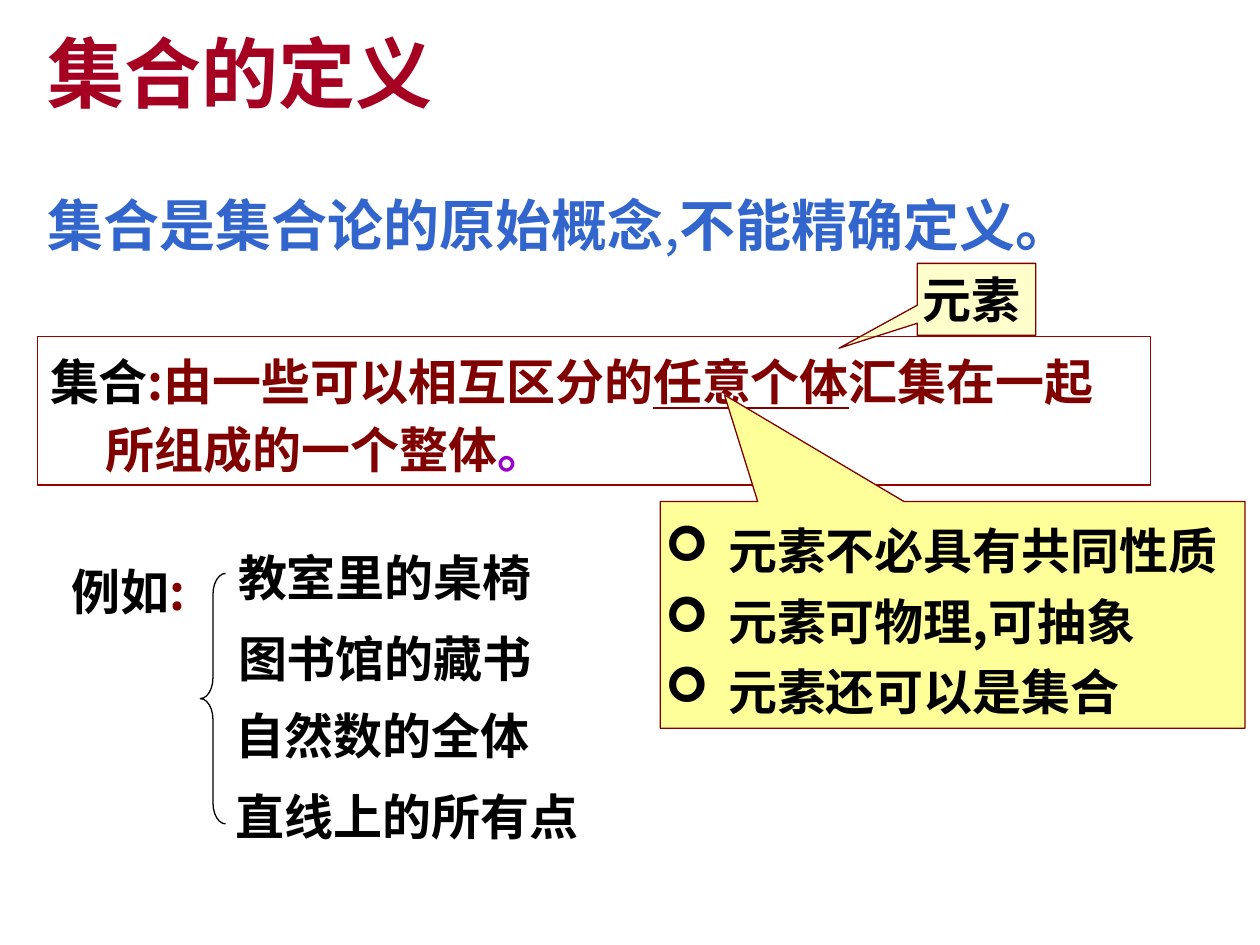
from pptx import Presentation
from pptx.dml.color import RGBColor as Rgb
from pptx.enum.shapes import MSO_SHAPE as Kind
from pptx.enum.text import MSO_ANCHOR as Anchor
from pptx.oxml.ns import qn
from pptx.util import Cm, Pt
from lxml.etree import SubElement as Sub

SANS = "Noto Sans CJK SC"
RED, BLACK, MAROON, BLUE = "A50021", "000000", "800000", "3366CC"

# Content: each run is (text, changes to the base format)
TITLE = [("集合的定义", dict(size=44, name="Arial", color=RED))]
INTRO = [("集合是集合论的原始概念", dict(size=32, color=BLUE)),
         (",", dict(size=32, color=BLUE, bold=False)),
         ("不能精确定义。", dict(size=32, color=BLUE))]
RULE = [
    [("集合", {}), (":由一些可以相互区分的", dict(color=MAROON)),
     ("任意个体", dict(color=MAROON, underline=True)),
     ("汇集在一起", dict(color=MAROON))],
    [("所组成的一个整体", dict(color=MAROON)), ("。", dict(color="9900CC"))],
]
NOTES = ["元素不必具有共同性质", "元素可物理,可抽象", "元素还可以是集合"]
LEAD = [("例如", {}), (":", dict(color=MAROON))]
# Example, left, top, width
CASES = [("教室里的桌椅", 4.55, 10.74, 6.53), ("图书馆的藏书", 4.55, 12.37, 6.53),
         ("自然数的全体", 4.5, 13.92, 6.53), ("直线上的所有点", 4.5, 15.54, 7.52)]

deck = Presentation()
deck.slide_width, deck.slide_height = Cm(25.4), Cm(19.05)
slide = deck.slides.add_slide(deck.slide_layouts[6])


def paint(hue):
    return Rgb.from_string(hue)


def write(box, paras, space=1.0, wrap=True, anchor=Anchor.TOP, pad=(0.25, 0.13)):
    frame = box.text_frame
    across, down = map(Cm, pad)
    form = dict(word_wrap=wrap, vertical_anchor=anchor, margin_left=across,
                margin_right=across, margin_top=down, margin_bottom=down)
    for key, value in form.items():
        setattr(frame, key, value)
    for i, runs in enumerate(paras):
        para = frame.add_paragraph() if i else frame.paragraphs[0]
        para.line_spacing = space
        para._p.get_or_add_pPr().set("algn", "l")
        for text, change in runs:
            look = dict(size=28, name=SANS, bold=True, color=BLACK) | change
            hue, look["size"] = look.pop("color"), Pt(look["size"])
            run = para.add_run()
            run.text = text
            for key, value in look.items():
                setattr(run.font, key, value)
            run.font.color.rgb = paint(hue)
            Sub(run._r.get_or_add_rPr(), qn("a:ea"), typeface=SANS)
    return frame


def label(place, runs, **form):
    write(slide.shapes.add_textbox(*map(Cm, place)), [runs], **form)


def draw(kind, place, edge, fill=None, adjust=()):
    shape = slide.shapes.add_shape(kind, *map(Cm, place))
    shape.shadow.inherit = False
    shape.line.color.rgb = paint(edge)
    shape.line.width = Pt(0.75)
    if fill:
        shape.fill.solid()
        shape.fill.fore_color.rgb = paint(fill)
    else:
        shape.fill.background()
    for i, value in enumerate(adjust):
        shape.adjustments[i] = value
    return shape


def indent(para, left, first):
    prop = para._p.get_or_add_pPr()
    prop.set("marL", str(Cm(left)))
    prop.set("indent", str(Cm(first)))
    return prop


# Title and opening line
label((0.71, 0.38, 19, 2.39), TITLE)
label((0.71, 3.71, 23.75, 1.14), INTRO)

# Definition
rule = write(draw(Kind.RECTANGLE, (0.76, 6.78, 22.43, 3), "990000"), RULE, space=1.15)
indent(rule.paragraphs[1], 0, 1.12)

# Callout with the bulleted notes
CALL = dict(anchor=Anchor.MIDDLE, pad=(0.1, 0.13))
call = draw(Kind.RECTANGULAR_CALLOUT, (13.31, 10.11, 11.79, 4.57), MAROON,
            "FFFF99", (-0.39, -0.97))
notes = write(call, [[(note, {})] for note in NOTES], space=1.2, **CALL)
for para in notes.paragraphs:
    prop = indent(para, 1.27, -1.27)
    Sub(prop, qn("a:buFont"), typeface="Wingdings")
    Sub(prop, qn("a:buChar"), char="➢")

# Examples and their brace
label((1.19, 10.72, 3.02, 1.68), LEAD, space=1.4, wrap=False)
for text, left, top, width in CASES:
    label((left, top, width, 1.63), [(text, {})], space=1.15, wrap=False)
brace = draw(Kind.RIGHT_BRACE, (4.04, 11.56, 0.51, 5.05), BLACK, adjust=(0.83, 0.5))
brace._element.spPr.find(qn("a:xfrm")).set("flipH", "1")

# Small see-through callout
tag = draw(Kind.RECTANGULAR_CALLOUT, (18.49, 5.31, 2.39, 1.45), MAROON,
           "FFFF99", (-1.16, 0.68))
Sub(tag._element.spPr.find(".//" + qn("a:srgbClr")), qn("a:alpha"), val="50000")
write(tag, [[("元素", {})]], **CALL)

deck.save("out.pptx")
